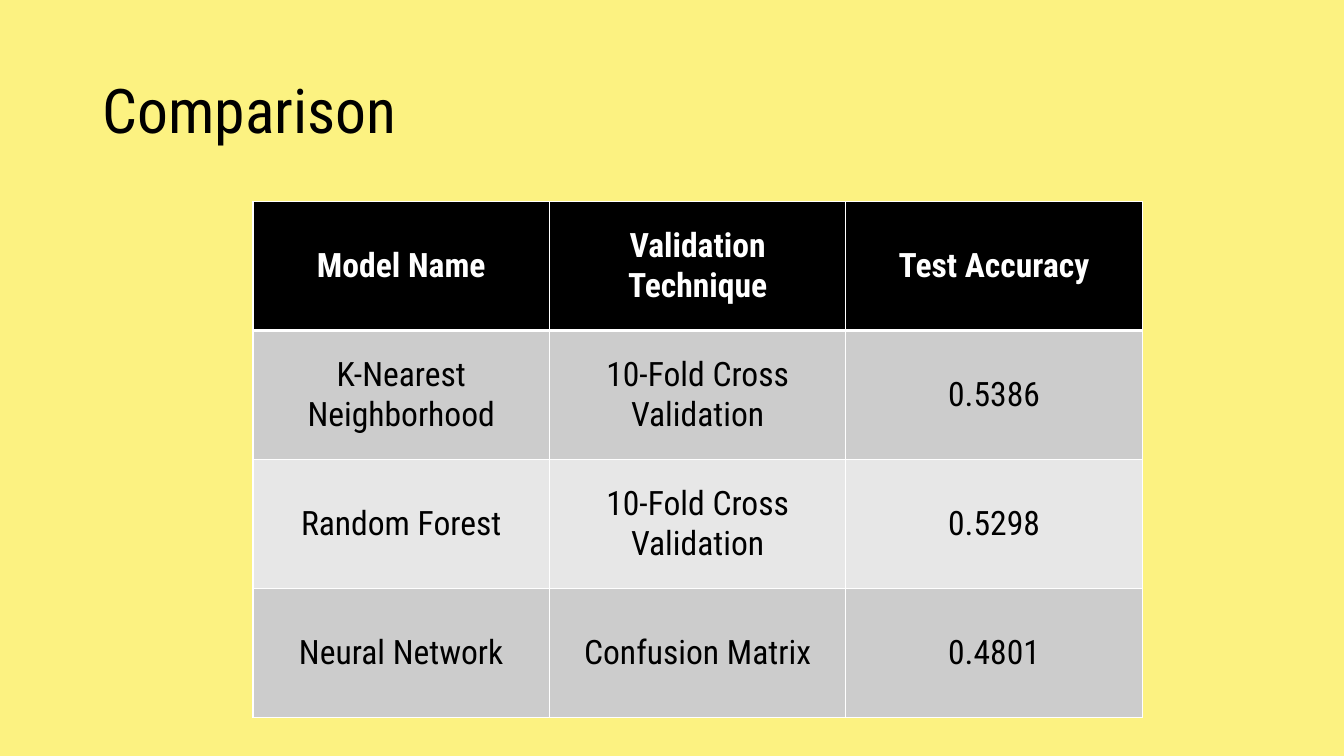
"""Build a slide that compares the test accuracy of three models."""
from lxml.etree import SubElement
from pptx import Presentation
from pptx.dml.color import RGBColor
from pptx.enum.text import MSO_ANCHOR, PP_ALIGN
from pptx.oxml.ns import qn
from pptx.util import Inches, Pt

FONT = "Roboto Condensed"
BLACK, WHITE, YELLOW = "000000", "FFFFFF", "FCF281"
BANDS = ("CCCCCC", "E7E7E7")
COLUMN_WIDTH, ROW_HEIGHT = Inches(2.94), Inches(1.28)
RESULTS = (
    ("Model Name", "Validation Technique", "Test Accuracy"),
    ("K-Nearest Neighborhood", "10-Fold Cross Validation", "0.5386"),
    ("Random Forest", "10-Fold Cross Validation", "0.5298"),
    ("Neural Network", "Confusion Matrix", "0.4801"),
)


def paint(fill, color):
    """Make a fill solid in a hex color."""
    fill.solid()
    fill.fore_color.rgb = RGBColor.from_string(color)


def write(frame, text, size=24, color=BLACK, bold=False, align=PP_ALIGN.LEFT, spacing=None):
    """Put one formatted paragraph in a text frame."""
    paragraph = frame.paragraphs[0]
    paragraph.alignment = align
    paragraph.line_spacing = spacing
    run = paragraph.add_run()
    run.text = text
    run.font.name = FONT
    run.font.size = Pt(size)
    run.font.bold = bold
    paint(run.font.fill, color)


def add_border(cell, side, width):
    """Draw a white line on one side of a cell."""
    properties = cell._tc.get_or_add_tcPr()
    line = SubElement(properties, qn(f"a:ln{side}"), w=str(Pt(width)))
    fill = SubElement(line, qn("a:solidFill"))
    SubElement(fill, qn("a:srgbClr"), val=WHITE)


def format_cell(cell, text, row):
    """Write, border and fill one cell according to its row."""
    header = row == 0
    cell.vertical_anchor = MSO_ANCHOR.MIDDLE
    write(cell.text_frame, text, color=WHITE if header else BLACK, bold=header,
          align=PP_ALIGN.CENTER)
    widths = {"L": 1, "R": 1, "T": 3 if row == 1 else 1, "B": 3 if header else 1}
    for side, width in widths.items():
        add_border(cell, side, width)
    paint(cell.fill, BLACK if header else BANDS[(row - 1) % 2])


def add_title(slide, text):
    """Add the slide heading."""
    box = slide.shapes.add_textbox(Inches(0.92), Inches(0.4), Inches(11.5), Inches(1.45))
    frame = box.text_frame
    frame.word_wrap = True
    frame.vertical_anchor = MSO_ANCHOR.MIDDLE
    write(frame, text, size=44, spacing=0.9)


def add_results_table(slide, results):
    """Add the table with equal columns and rows."""
    rows, columns = len(results), len(results[0])
    table = slide.shapes.add_table(rows, columns, Inches(2.51), Inches(2),
                                   COLUMN_WIDTH * columns, ROW_HEIGHT * rows).table
    for row, texts in enumerate(results):
        for column, text in enumerate(texts):
            format_cell(table.cell(row, column), text, row)


def main():
    """Create and save the presentation."""
    presentation = Presentation()
    presentation.slide_width, presentation.slide_height = Inches(13.33), Inches(7.5)
    slide = presentation.slides.add_slide(presentation.slide_layouts[6])
    paint(slide.background.fill, YELLOW)
    add_title(slide, "Comparison")
    add_results_table(slide, RESULTS)
    presentation.save("out.pptx")


if __name__ == "__main__":
    main()
